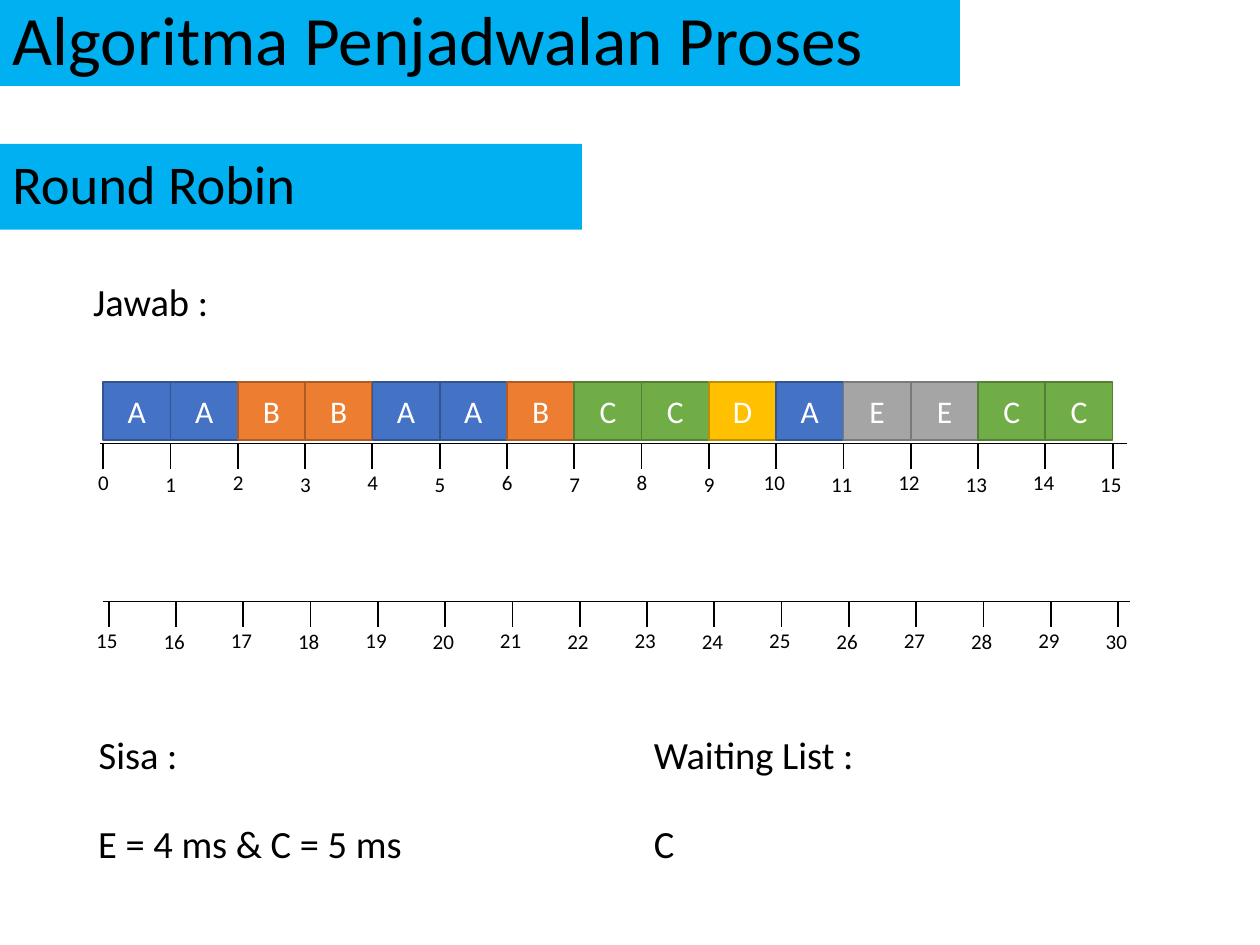
from dataclasses import dataclass

from lxml.etree import SubElement
from pptx import Presentation
from pptx.dml.color import RGBColor
from pptx.enum.shapes import MSO_CONNECTOR, MSO_SHAPE
from pptx.enum.text import MSO_ANCHOR, MSO_AUTO_SIZE, PP_ALIGN
from pptx.oxml.ns import qn
from pptx.util import Cm, Pt

FONT = "Calibri"
BLACK, WHITE, BANNER = "000000", "FFFFFF", "00B0F0"
SLOTS = 15
SLOT_WIDTH = 20.35 / SLOTS
TICK_LENGTH = 0.51
SCHEDULE = "AABBAABCCDAEECC"
SCHEDULE_LEFT, SCHEDULE_TOP = 2.08, 7.7


@dataclass
class ProcessStyle:
    fill: str
    outline: str


@dataclass
class Timeline:
    first: int
    line_left: float
    tick_left: float
    top: float
    label_top: float


@dataclass
class Note:
    text: str
    left: float
    top: float
    width: float


PROCESSES = {
    "A": ProcessStyle("4472C4", "325491"),
    "B": ProcessStyle("ED7D31", "AF5C24"),
    "C": ProcessStyle("70AD47", "538035"),
    "D": ProcessStyle("FFC000", "BD8E00"),
    "E": ProcessStyle("A5A5A5", "7A7A7A"),
}

TIMELINES = [
    Timeline(0, 2.01, 2.08, 8.94, 9.35),
    Timeline(15, 2.08, 2.19, 12.12, 12.52),
]

NOTES = [
    Note("Jawab :", 1.63, 5.49, 5.03),
    Note("Sisa :", 1.74, 14.61, 7.11),
    Note("Waiting List :", 12.93, 14.61, 5.03),
    Note("E = 4 ms & C = 5 ms", 1.73, 16.41, 7.24),
    Note("C", 12.93, 16.41, 5.03),
]


def paint(color_format, color: str) -> None:
    color_format.rgb = RGBColor.from_string(color)


def write(box, text: str, size: float, color: str = BLACK,
          align=PP_ALIGN.LEFT, spacing: float = 1.0) -> None:
    para = box.text_frame.paragraphs[0]
    para.alignment = align
    para.line_spacing = spacing
    span = para.add_run()
    span.text = text
    span.font.name = FONT
    span.font.size = Pt(size)
    paint(span.font.color, color)


def place(box, left: float, top: float, width: float, height: float) -> None:
    box.left, box.top, box.width, box.height = map(Cm, (left, top, width, height))


def format_banner(box, text: str, size: float) -> None:
    box.fill.solid()
    paint(box.fill.fore_color, BANNER)
    box.text_frame.word_wrap = True
    box.text_frame.auto_size = MSO_AUTO_SIZE.NONE
    box.text_frame.vertical_anchor = MSO_ANCHOR.MIDDLE
    write(box, text, size, spacing=0.9)


def add_rectangle(shapes, left: float, top: float, width: float, height: float):
    box = shapes.add_shape(MSO_SHAPE.RECTANGLE, Cm(left), Cm(top), Cm(width), Cm(height))
    box.shadow.inherit = False
    return box


def add_text(shapes, text: str, size: float, left: float, top: float,
             width: float, height: float, align=PP_ALIGN.LEFT) -> None:
    box = shapes.add_textbox(Cm(left), Cm(top), Cm(width), Cm(height))
    box.text_frame.word_wrap = True
    box.text_frame.auto_size = MSO_AUTO_SIZE.SHAPE_TO_FIT_TEXT
    write(box, text, size, align=align)


def add_line(shapes, x1: float, y1: float, x2: float, y2: float, width: float) -> None:
    line = shapes.add_connector(MSO_CONNECTOR.STRAIGHT, Cm(x1), Cm(y1), Cm(x2), Cm(y2))
    line.line.width = Pt(width)
    paint(line.line.color, BLACK)
    SubElement(line._element.spPr, qn("a:effectLst"))


def add_timeline(page, timeline: Timeline) -> None:
    shapes = page.shapes.add_group_shape().shapes
    top = timeline.top
    add_line(shapes, timeline.line_left, top, timeline.line_left + 20.7, top, 0.5)
    for index in range(SLOTS + 1):
        x = timeline.tick_left + index * SLOT_WIDTH
        add_line(shapes, x, top, x, top + TICK_LENGTH, 1)
        label = str(timeline.first + index)
        offset, width = (0.35, 0.84) if len(label) == 1 else (0.5, 1.02)
        # Odd positions sit slightly lower
        add_text(shapes, label, 12, x - offset, timeline.label_top + index % 2 * 0.03,
                 width, 0.77)


def add_schedule(page) -> None:
    for index, process in enumerate(SCHEDULE):
        style = PROCESSES[process]
        block = add_rectangle(page.shapes, SCHEDULE_LEFT + index * SLOT_WIDTH,
                              SCHEDULE_TOP, SLOT_WIDTH, 1.17)
        block.fill.solid()
        paint(block.fill.fore_color, style.fill)
        block.line.width = Pt(1)
        paint(block.line.color, style.outline)
        block.text_frame.vertical_anchor = MSO_ANCHOR.MIDDLE
        write(block, process, 18, WHITE, PP_ALIGN.CENTER)


def main() -> None:
    deck = Presentation()
    deck.slide_width, deck.slide_height = Cm(25.4), Cm(19.05)
    page = deck.slides.add_slide(deck.slide_layouts[5])

    # Title and subtitle banners
    title = page.shapes.title
    place(title, 0, 0, 19.35, 1.73)
    format_banner(title, "Algoritma Penjadwalan Proses", 39.6)
    subtitle = add_rectangle(page.shapes, 0, 2.9, 11.73, 1.73)
    subtitle.line.fill.background()
    format_banner(subtitle, "Round Robin", 31.2)

    # Time axes and the scheduled processes
    for timeline in TIMELINES:
        add_timeline(page, timeline)
    add_schedule(page)

    # Answer, remaining time and waiting list
    for note in NOTES:
        add_text(page.shapes, note.text, 22, note.left, note.top, note.width, 1.19,
                 PP_ALIGN.JUSTIFY)

    deck.save("out.pptx")


if __name__ == "__main__":
    main()
